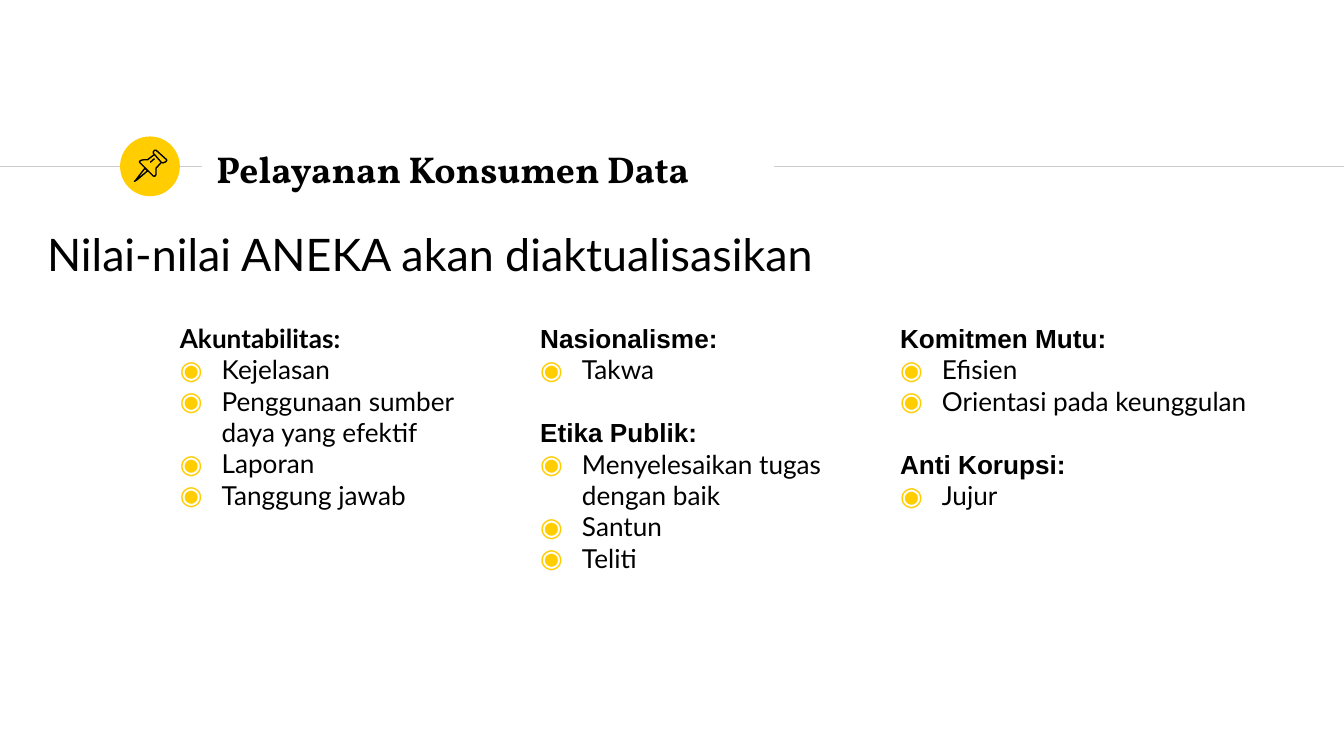
from lxml.etree import SubElement
from pptx import Presentation
from pptx.dml.color import RGBColor
from pptx.enum.shapes import MSO_CONNECTOR as Connector, MSO_SHAPE as Shape
from pptx.enum.text import MSO_ANCHOR as Anchor
from pptx.oxml.ns import qn
from pptx.util import Cm, Pt

COLORS = {"text": "000000", "accent": "FFCD00", "rule": "CCCCCC"}

TITLE = "Pelayanan Konsumen Data"
SUBTITLE = "Nilai-nilai ANEKA akan diaktualisasikan"

# Each column: left, width, then its values as (heading, heading font, items)
COLUMNS = [
    (3.15, 6.48, [
        ("Akuntabilitas:", "Lato",
         ["Kejelasan", "Penggunaan sumber daya yang efektif",
          "Laporan", "Tanggung jawab"]),
    ]),
    (9.96, 6.48, [
        ("Nasionalisme:", "Arial", ["Takwa"]),
        ("Etika Publik:", "Arial",
         ["Menyelesaikan tugas dengan baik", "Santun", "Teliti"]),
    ]),
    (16.76, 7.39, [
        ("Komitmen Mutu:", "Arial", ["Efisien", "Orientasi pada keunggulan"]),
        ("Anti Korupsi:", "Arial", ["Jujur"]),
    ]),
]
COLUMN_TOP, COLUMN_HEIGHT = 5.84, 6.02

# Pushpin outlines in tenths of a millimetre: (closed, points)
PIN = [
    (True, [(274, 318), (257, 340), (254, 343), (259, 340), (279, 323)]),
    (True, [(292, 292), (305, 307), (308, 308), (313, 306), (315, 304),
            (315, 302), (295, 284), (292, 284), (290, 287), (290, 290)]),
    (False, [(292, 292), (279, 302), (272, 302), (267, 303), (264, 305),
             (264, 307), (290, 333), (293, 333), (295, 330), (295, 318),
             (305, 307)]),
    (False, [(284, 307), (292, 300)]),
]

RULE_Y = 3.15
RULES = [(0, 3.81), (14.63, 25.4)]


def color(name):
    """Return the named palette colour."""
    return RGBColor.from_string(COLORS[name])


def add_frame(slide, left, top, width, height, anchor=Anchor.TOP):
    """Add a wrapping text box and return its text frame."""
    frame = slide.shapes.add_textbox(
        Cm(left), Cm(top), Cm(width), Cm(height)).text_frame
    frame.word_wrap = True
    frame.vertical_anchor = anchor
    frame.margin_left = frame.margin_right = Cm(0.25)
    frame.margin_top = frame.margin_bottom = Cm(0.25)
    return frame


def write(frame, text, size=14, font="Lato", bold=False, before=0,
          indent=0, bullet=None):
    """Write one formatted paragraph, using the first one while it is empty."""
    first = frame.paragraphs[0]
    paragraph = frame.add_paragraph() if first.runs else first
    paragraph.space_before = Pt(before)
    run = paragraph.add_run()
    run.text = text
    run.font.size, run.font.name, run.font.bold = Pt(size), font, bold
    run.font.color.rgb = color("text")
    properties = paragraph._p.get_or_add_pPr()
    properties.set("marL", str(Cm(indent)))
    if bullet:
        properties.set("indent", str(-Cm(indent)))
        fill = SubElement(properties, qn("a:buClr"))
        SubElement(fill, qn("a:srgbClr"), val=COLORS["accent"])
        SubElement(properties, qn("a:buFont"), typeface=font)
        SubElement(properties, qn("a:buChar"), char=bullet)


def add_rule(slide, start, end):
    """Draw one horizontal stretch of the title rule."""
    rule = slide.shapes.add_connector(
        Connector.STRAIGHT, Cm(start), Cm(RULE_Y), Cm(end), Cm(RULE_Y))
    rule.line.color.rgb = color("rule")
    rule.line.width = Pt(0.75)
    SubElement(rule._element.spPr, qn("a:effectLst"))


def add_pin(slide):
    """Draw the grouped pushpin outlines."""
    pin = slide.shapes.add_group_shape()
    for closed, points in PIN:
        builder = pin.shapes.build_freeform(*points[0], scale=Cm(0.01))
        builder.add_line_segments(points[1:], close=closed)
        outline = builder.convert_to_shape()
        outline.shadow.inherit = False
        outline.fill.background()
        outline.line.color.rgb = color("text")
        outline.line.width = Pt(0.75)


def add_badge(slide):
    """Draw the round badge with its pushpin."""
    badge = slide.shapes.add_shape(
        Shape.OVAL, Cm(2.27), Cm(2.58), Cm(1.13), Cm(1.13))
    badge.shadow.inherit = False
    badge.fill.solid()
    badge.fill.fore_color.rgb = color("accent")
    badge.line.fill.background()
    add_pin(slide)


def add_column(slide, left, width, values):
    """Write one column of headings with bulleted items."""
    frame = add_frame(slide, left, COLUMN_TOP, width, COLUMN_HEIGHT)
    for number, (heading, font, items) in enumerate(values):
        write(frame, heading, font=font, bold=True, before=17 if number else 0)
        for item in items:
            write(frame, item, indent=0.79, bullet="◉")


deck = Presentation()
deck.slide_width, deck.slide_height = Cm(25.4), Cm(14.29)
slide = deck.slides.add_slide(deck.slide_layouts[6])

for start, end in RULES:
    add_rule(slide, start, end)
add_badge(slide)
write(add_frame(slide, 3.84, 2.57, 10.77, 1.22, Anchor.MIDDLE), TITLE,
      size=20, font="Vollkorn", bold=True)
write(add_frame(slide, 0, 4.04, 18.14, 1.55), SUBTITLE, size=24, indent=0.64)
for left, width, values in COLUMNS:
    add_column(slide, left, width, values)

deck.save("out.pptx")
